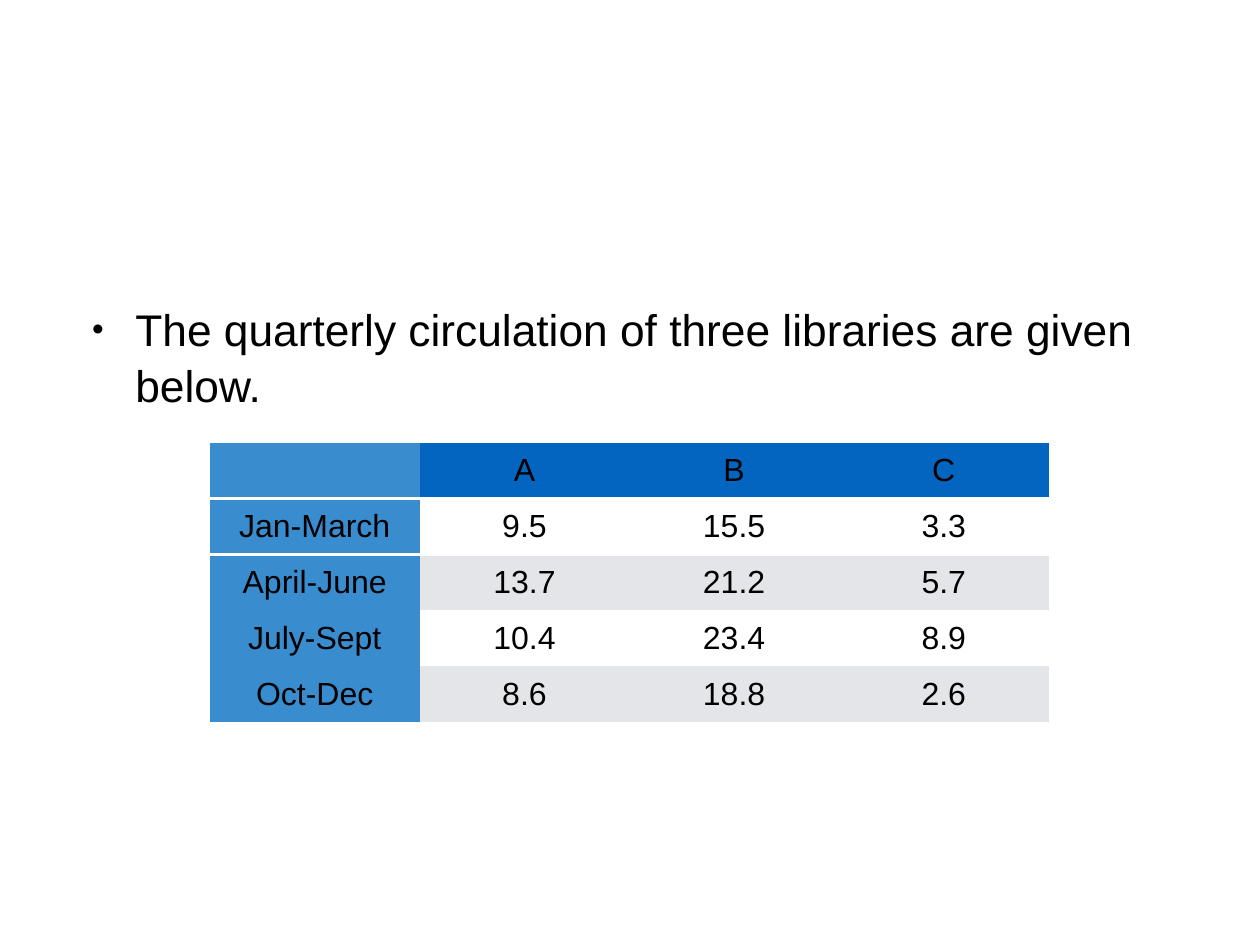
from pptx import Presentation
from pptx.dml.color import RGBColor as RGB
from pptx.enum.text import MSO_ANCHOR as Anchor, MSO_AUTO_SIZE as AutoSize, PP_ALIGN as Align
from pptx.oxml import parse_xml
from pptx.oxml.ns import nsdecls, qn
from pptx.util import Cm, Pt

# Content
INTRO = "The quarterly circulation of three libraries are given below."
CIRCULATION = [
    ("", "A", "B", "C"),
    ("Jan-March", "9.5", "15.5", "3.3"),
    ("April-June", "13.7", "21.2", "5.7"),
    ("July-Sept", "10.4", "23.4", "8.9"),
    ("Oct-Dec", "8.6", "18.8", "2.6"),
]
COLORS = {"text": "000000", "header": "0365C0", "quarter": "398CCE",
          "plain": "FFFFFF", "band": "E3E5E8", "rule": "FFFFFF"}
FONT = "Arial"
NO_STYLE = "{2D5ABB26-0587-4C30-8999-92F81FD0307C}"
COL_W, ROW_H = Cm(6.01), Cm(1.6)
RULE_PT = 3


def style_font(font, size):
    font.name, font.size = FONT, Pt(size)
    font.color.rgb = RGB.from_string(COLORS["text"])


def cell_color(row, col):
    if col == 0:
        return COLORS["quarter"]
    if row == 0:
        return COLORS["header"]
    return COLORS["plain" if row % 2 else "band"]


def add_rule(cell, side):
    line = parse_xml(
        f'<a:{side} {nsdecls("a")} w="{Pt(RULE_PT)}"><a:solidFill>'
        f'<a:srgbClr val="{COLORS["rule"]}"/></a:solidFill></a:{side}>')
    cell._tc.get_or_add_tcPr().insert(0, line)


def add_intro(s):
    sp = s.placeholders[1]
    sp.left, sp.top, sp.width, sp.height = Cm(2.64), Cm(1.45), Cm(30.84), Cm(17.48)
    tf = sp.text_frame
    tf.text = INTRO
    tf.word_wrap, tf.auto_size = True, AutoSize.NONE
    tf.vertical_anchor = Anchor.MIDDLE
    tf.margin_left = tf.margin_top = tf.margin_right = tf.margin_bottom = 0
    p = tf.paragraphs[0]
    p.space_before, p.line_spacing = Pt(0), 1.06
    # Hanging bullet
    pPr = p._p.get_or_add_pPr()
    pPr.set("marL", str(Cm(1.24)))
    pPr.set("indent", str(-Cm(1.24)))
    pPr.append(parse_xml(f'<a:buSzPct {nsdecls("a")} val="75000"/>'))
    pPr.append(parse_xml(f'<a:buChar {nsdecls("a")} char="•"/>'))
    style_font(p.runs[0].font, 36)


def add_circulation_table(s):
    rows, cols = len(CIRCULATION), len(CIRCULATION[0])
    table = s.shapes.add_table(rows, cols, Cm(6.02), Cm(12.7),
                               COL_W * cols, ROW_H * rows).table
    table.horz_banding = False
    table._tbl.tblPr.find(qn("a:tableStyleId")).text = NO_STYLE
    for column in table.columns:
        column.width = COL_W
    for r, values in enumerate(CIRCULATION):
        table.rows[r].height = ROW_H
        for c, value in enumerate(values):
            cell = table.cell(r, c)
            cell.text = value
            cell.vertical_anchor = Anchor.MIDDLE
            cell.margin_left = cell.margin_right = Cm(0.13)
            cell.margin_top = cell.margin_bottom = Cm(0.13)
            cell.fill.solid()
            cell.fill.fore_color.rgb = RGB.from_string(cell_color(r, c))
            p = cell.text_frame.paragraphs[0]
            p.alignment = Align.CENTER
            for run in p.runs:
                style_font(run.font, 26)
            # White rule between the header and the quarters
            if r < 2:
                add_rule(cell, "lnT" if r else "lnB")


def main():
    prs = Presentation()
    prs.slide_width, prs.slide_height = Cm(36.12), Cm(27.1)
    s = prs.slides.add_slide(prs.slide_layouts[1])
    title = s.shapes.title._element
    title.getparent().remove(title)
    add_intro(s)
    add_circulation_table(s)
    prs.save("out.pptx")


if __name__ == "__main__":
    main()
